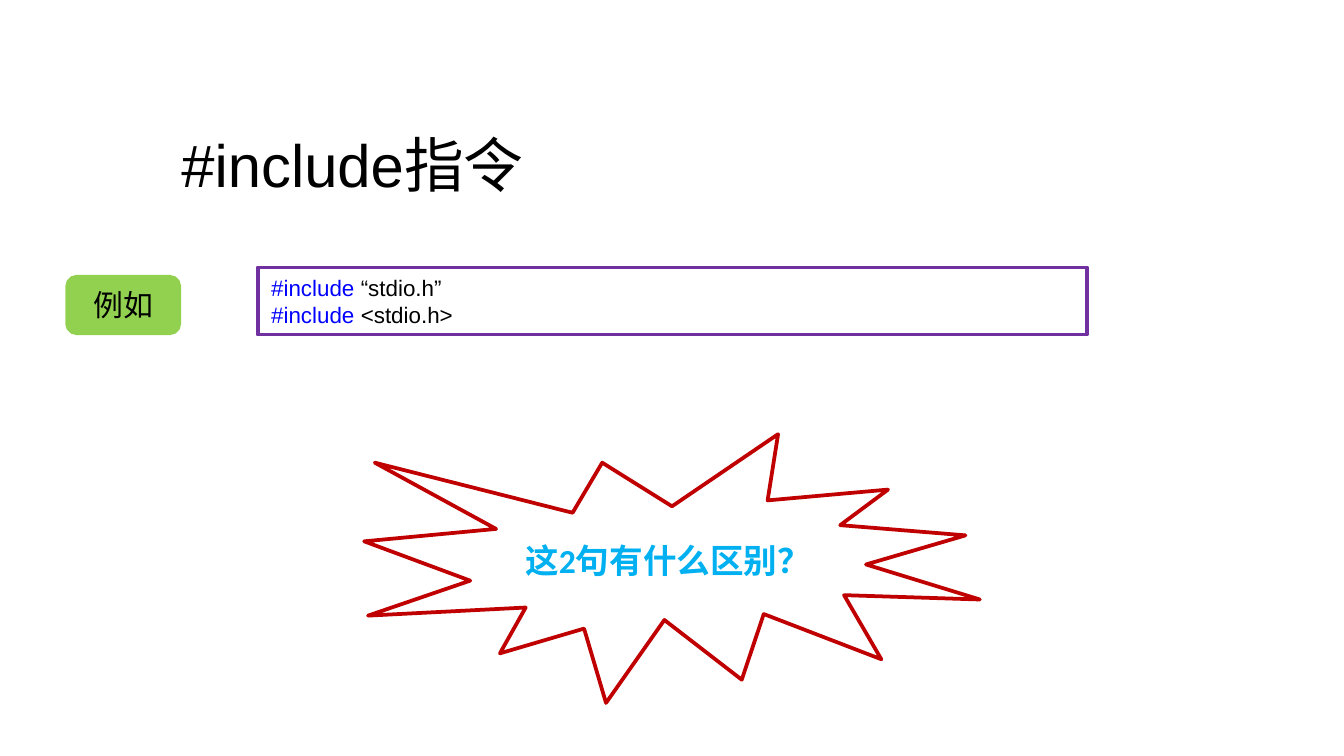
from dataclasses import dataclass

import pptx
import pptx.dml.color
import pptx.enum.shapes
import pptx.enum.text
import pptx.util

Pt = pptx.util.Pt
Color = pptx.dml.color.RGBColor.from_string
Shapes = pptx.enum.shapes.MSO_SHAPE
Anchor = pptx.enum.text.MSO_ANCHOR
Align = pptx.enum.text.PP_ALIGN


@dataclass(frozen=True)
class Theme:
    text: str = "000000"
    keyword: str = "0000FF"
    label: str = "92D050"
    code_border: str = "7030A0"
    burst: str = "FFFFFF"
    burst_border: str = "C00000"
    question: str = "00B0F0"
    title_size: int = 32
    label_size: int = 16
    code_size: int = 12
    question_size: int = 18
    line_width: int = 2


theme = Theme()


def add_box(slide, kind, bounds, fill, border):
    shape = slide.shapes.add_shape(kind, *map(Pt, bounds))
    shape.shadow.inherit = False
    if fill:
        shape.fill.solid()
        shape.fill.fore_color.rgb = Color(fill)
    else:
        shape.fill.background()
    shape.line.color.rgb = Color(border)
    shape.line.width = Pt(theme.line_width)
    shape.text_frame.word_wrap = True
    return shape


def format_paragraph(paragraph, font, size, color, alignment, bold=False):
    paragraph.alignment = alignment
    paragraph.font.name = font
    paragraph.font.size = Pt(size)
    paragraph.font.bold = bold
    paragraph.font.color.rgb = Color(color)


presentation = pptx.Presentation()
presentation.slide_width = Pt(720)
presentation.slide_height = Pt(405)
slide = presentation.slides.add_slide(presentation.slide_layouts[5])

title = slide.shapes.title
title.left, title.top, title.width, title.height = map(Pt, (90, 64.8, 437.8, 48.2))
title.text_frame.text = "#include指令"
title.text_frame.vertical_anchor = Anchor.TOP
title.text_frame.auto_size = pptx.enum.text.MSO_AUTO_SIZE.NONE
format_paragraph(title.text_frame.paragraphs[0], "Arial", theme.title_size, theme.text, Align.LEFT)

label = add_box(slide, Shapes.ROUNDED_RECTANGLE, (36, 148.3, 60, 30.2), theme.label, theme.label)
label.text_frame.text = "例如"
format_paragraph(label.text_frame.paragraphs[0], "Noto Sans CJK SC", theme.label_size, theme.text, Align.CENTER)

code = add_box(slide, Shapes.RECTANGLE, (138.2, 143.3, 444.2, 36), None, theme.code_border)
code.text_frame.vertical_anchor = Anchor.TOP
code.text_frame.auto_size = pptx.enum.text.MSO_AUTO_SIZE.SHAPE_TO_FIT_TEXT
headers = ["“stdio.h”", "<stdio.h>"]
for index, header in enumerate(headers):
    paragraph = code.text_frame.add_paragraph() if index else code.text_frame.paragraphs[0]
    format_paragraph(paragraph, "Arial", theme.code_size, theme.text, Align.LEFT)
    for text, color in [("#include ", theme.keyword), (header, theme.text)]:
        run = paragraph.add_run()
        run.text = text
        run.font.color.rgb = Color(color)

burst = add_box(slide, Shapes.EXPLOSION1, (195.1, 232.6, 329.8, 144), theme.burst, theme.burst_border)
burst.text_frame.text = "这2句有什么区别？"
burst.text_frame.vertical_anchor = Anchor.MIDDLE
format_paragraph(burst.text_frame.paragraphs[0], "Calibri", theme.question_size, theme.question, Align.CENTER, True)

presentation.save("out.pptx")
